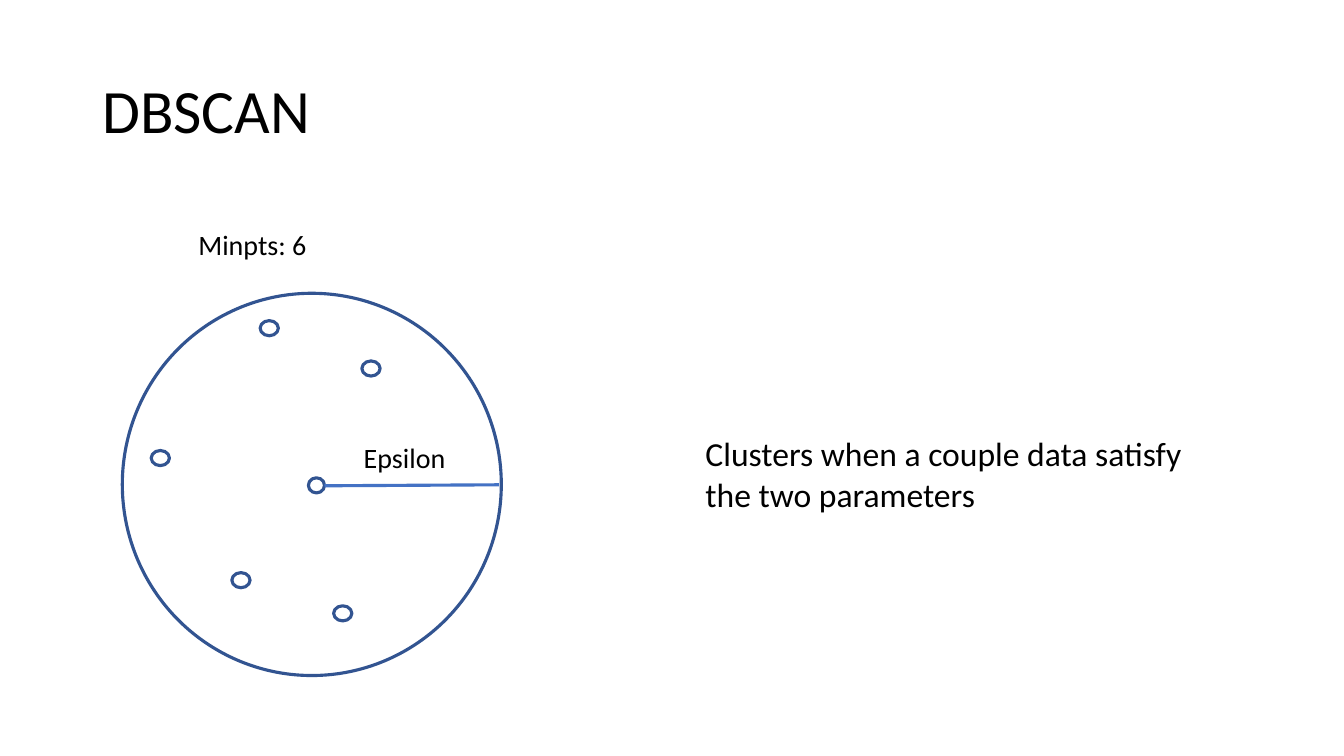
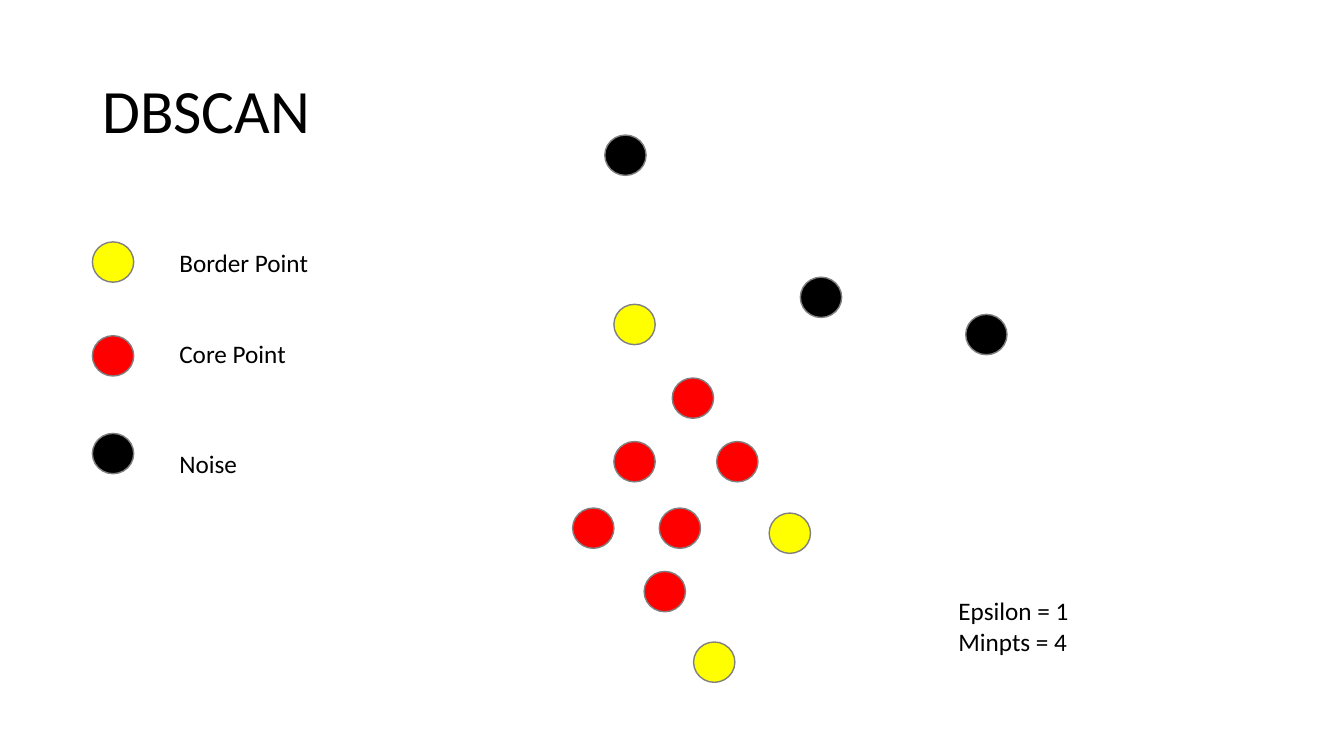
from lxml.etree import SubElement
from pptx import Presentation
from pptx.dml.color import RGBColor
from pptx.enum.shapes import MSO_CONNECTOR as Connector, MSO_SHAPE as Shape
from pptx.enum.text import MSO_ANCHOR as Anchor, MSO_AUTO_SIZE as AutoSize
from pptx.oxml.ns import qn
from pptx.util import Pt

BLACK = RGBColor(0x00, 0x00, 0x00)
WHITE = RGBColor(0xFF, 0xFF, 0xFF)
YELLOW = RGBColor(0xFF, 0xFF, 0x00)
RED = RGBColor(0xFF, 0x00, 0x00)
GRAY = RGBColor(0x80, 0x80, 0x80)
BLUE = RGBColor(0x44, 0x72, 0xC4)
DARK_BLUE = RGBColor(0x32, 0x54, 0x91)
FONT = "Calibri"


def add_text(slide, text, left, top, width, height, size=18, anchor=Anchor.TOP,
             spacing=1.0, auto_size=AutoSize.SHAPE_TO_FIT_TEXT):
    """Add a text box with one paragraph for each line of text."""
    box = slide.shapes.add_textbox(Pt(left), Pt(top), Pt(width), Pt(height))
    frame = box.text_frame
    frame.word_wrap = True
    frame.auto_size = auto_size
    frame.vertical_anchor = anchor
    frame.text = text
    for paragraph in frame.paragraphs:
        paragraph.line_spacing = spacing
        paragraph.font.name = FONT
        paragraph.font.size = Pt(size)
        paragraph.font.color.rgb = BLACK


def add_ellipse(slide, left, top, width, height, fill=None, line=DARK_BLUE, weight=2.25):
    shape = slide.shapes.add_shape(Shape.OVAL, Pt(left), Pt(top), Pt(width), Pt(height))
    shape.shadow.inherit = False
    if fill is None:
        shape.fill.background()
    else:
        shape.fill.solid()
        shape.fill.fore_color.rgb = fill
    shape.line.color.rgb = line
    shape.line.width = Pt(weight)


presentation = Presentation()
presentation.slide_width = Pt(960)
presentation.slide_height = Pt(540)
blank_layout = presentation.slide_layouts[6]
parameter_slide, point_slide = [presentation.slides.add_slide(blank_layout) for _ in range(2)]

for slide in (parameter_slide, point_slide):
    add_text(slide, "DBSCAN", 66, 28.8, 828, 104.4, size=44, anchor=Anchor.MIDDLE,
             spacing=0.9, auto_size=AutoSize.NONE)

# Slide 1: the two parameters
add_ellipse(parameter_slide, 87.4, 209.5, 270.7, 273, fill=WHITE)
add_ellipse(parameter_slide, 220.3, 341.3, 11.5, 10.8, fill=WHITE)

radius = parameter_slide.shapes.add_connector(
    Connector.STRAIGHT, Pt(231.8), Pt(347), Pt(356.4), Pt(346.3))
radius.line.color.rgb = BLUE
radius.line.width = Pt(2.25)
SubElement(radius._element.spPr, qn("a:effectLst"))

NEIGHBORS = [(185.8, 229), (108, 321.8), (238.3, 432.7), (165.6, 409), (258.5, 257.8)]
for left, top in NEIGHBORS:
    add_ellipse(parameter_slide, left, top, 13, 10.8)

add_text(parameter_slide, "Epsilon", 252.7, 311, 88, 31.5, size=20)
add_text(parameter_slide, "Minpts: 6", 134.6, 159.2, 152, 31.5, size=20)
add_text(parameter_slide, "Clusters when a couple data satisfy the two parameters",
         496.8, 306, 362, 65.4, size=24)

# Slide 2: the kinds of points
POINT_SIZE = (29.5, 28.8)
POINTS = {
    YELLOW: [(438.5, 217.4), (549.4, 366.5), (495.4, 458.6)],
    RED: [(480.2, 270), (438.5, 315.4), (409, 362.9), (470.9, 362.9),
          (511.9, 315.4), (460.1, 408.2)],
    BLACK: [(571.7, 198), (689.8, 224.6), (432, 96.5)],
}
for color, positions in POINTS.items():
    for left, top in positions:
        add_ellipse(point_slide, left, top, *POINT_SIZE, fill=color, line=GRAY, weight=1)

LEGEND = [
    ("Border Point", YELLOW, 172.8, 172.8),
    ("Core Point", RED, 239.8, 238.3),
    ("Noise", BLACK, 309.6, 316.8),
]
for label, color, point_top, label_top in LEGEND:
    add_ellipse(point_slide, 66, point_top, *POINT_SIZE, fill=color, line=GRAY, weight=1)
    add_text(point_slide, label, 121, label_top, 120, 29)

add_text(point_slide, "Epsilon = 1\nMinpts = 4", 677.5, 422, 180, 51)

presentation.save("out.pptx")
